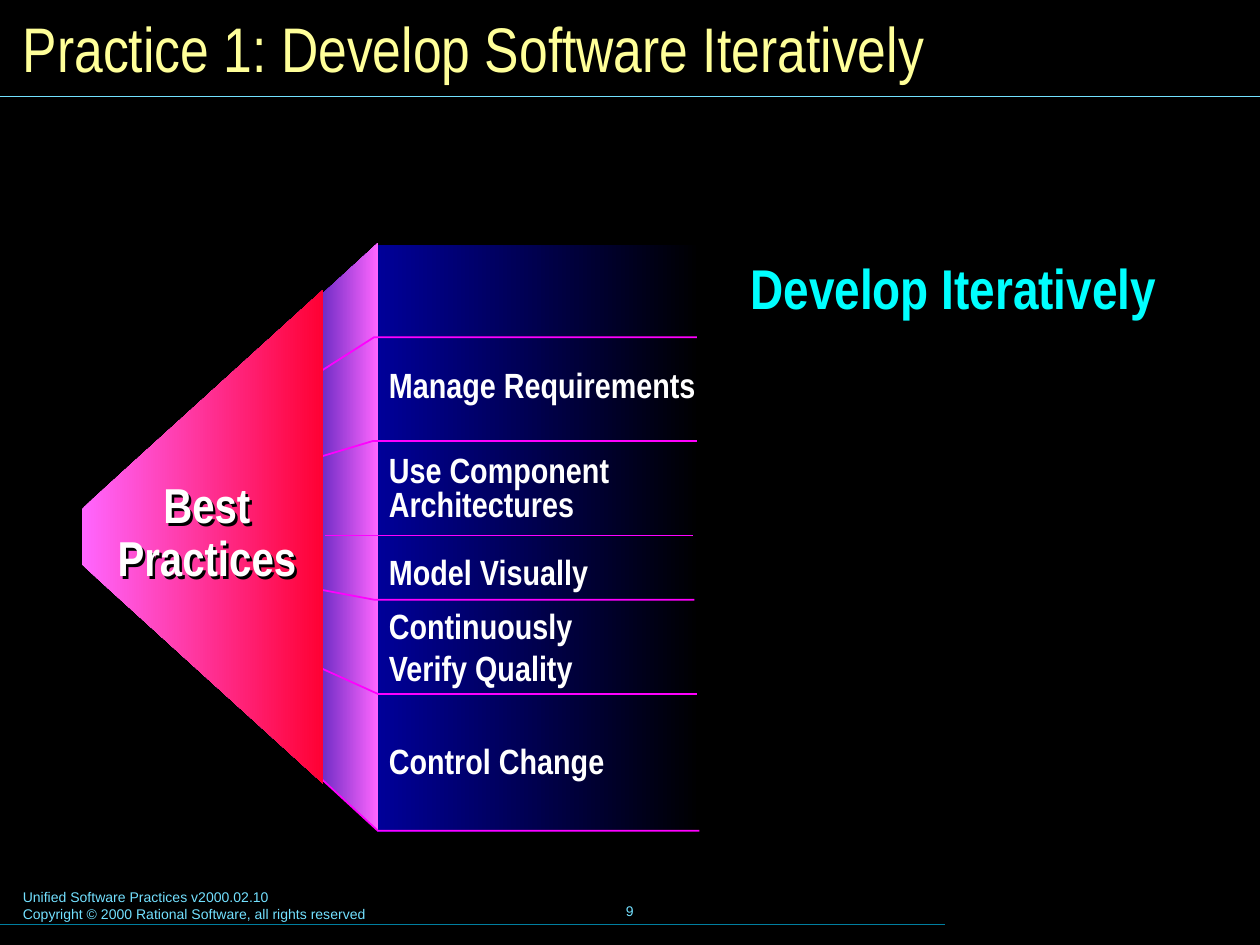
from lxml import etree
from pptx import Presentation
from pptx.dml.color import RGBColor
from pptx.enum.shapes import MSO_CONNECTOR, MSO_SHAPE
from pptx.enum.text import MSO_ANCHOR, PP_ALIGN
from pptx.oxml.ns import qn
from pptx.util import Cm, Pt

LEFT, CENTER = PP_ALIGN.LEFT, PP_ALIGN.CENTER
TOP, MIDDLE = MSO_ANCHOR.TOP, MSO_ANCHOR.MIDDLE
STRAIGHT = MSO_CONNECTOR.STRAIGHT
NARROW = "Arial Narrow"
NAVY, BLACK, PINK, RED = "000099", "000000", "FF66FF", "FF0033"
MAGENTA, SKY, TEAL, WHITE = "FF00FF", "73E1FF", "007E9F", "FFFFFF"

# Content; all lengths in centimetres
TITLE = "Practice 1: Develop Software Iteratively"
HEADLINE = "Develop Iteratively"
FOOTER = ["Unified Software Practices v2000.02.10",
          "Copyright © 2000 Rational Software, all rights reserved"]
PAGE_NUMBER = "9"
HUB = ["Best", "Practices"]

LABEL_LEFT, LABEL_WIDTH = 7.59, 7.11
PRACTICES = [  # lines, top, height, line spacing
    (["Manage Requirements"], 7.37, 0.94, 0.8),
    (["Use Component Architectures"], 9.08, 1.63, 0.8),
    (["Model Visually"], 10.98, 1.12, None),
    (["Continuously", "Verify Quality"], 12.07, 1.96, None),
    (["Control Change"], 14.79, 1.12, None),
]
DIVIDERS = [  # right end, knee, level, left end, left level
    (14.05, 7.54, 6.8, 5.94, 7.82),
    (14.05, 7.52, 8.89, 5.92, 9.37),
    (14.00, 7.54, 12.09, 5.94, 11.79),
    (14.10, 7.62, 16.75, 5.89, 15.16),
    (14.05, 7.62, 13.99, 5.94, 13.23),
]
PANEL = (7.6, 4.93, 6.52, 11.84)
SIDE = [(7.62, 16.74), (7.62, 4.9), (5.64, 6.71), (5.64, 14.94)]
WEDGE = [(6.52, 15.8), (6.52, 5.84), (1.65, 10.26), (1.65, 11.38)]


def color(value):
    return RGBColor.from_string(value)


def add_text(page, lines, area, size, ink, font=NARROW, bold=False, align=LEFT,
             anchor=TOP, spacing=None):
    box = page.shapes.add_textbox(*map(Cm, area))
    frame = box.text_frame
    frame.word_wrap = True
    frame.vertical_anchor = anchor
    for index, line in enumerate(lines):
        para = frame.add_paragraph() if index else frame.paragraphs[0]
        para.alignment = align
        if spacing:
            para.line_spacing = spacing
        span = para.add_run()
        span.text = line
        span.font.size = Pt(size)
        span.font.bold = bold
        span.font.name = font
        span.font.color.rgb = color(ink)
    return box


def add_shadow(box):
    """An unfilled box casts the shadow from its text."""
    effects = etree.SubElement(box._element.spPr, qn("a:effectLst"))
    drop = etree.SubElement(effects, qn("a:outerShdw"), dist="25400", dir="2700000")
    etree.SubElement(drop, qn("a:srgbClr"), val=BLACK)


def add_line(page, left, right, level, ink):
    line = page.shapes.add_connector(STRAIGHT, Cm(left), Cm(level), Cm(right), Cm(level))
    line.line.color.rgb = color(ink)
    line.line.width = Pt(0.75)
    etree.SubElement(line._element.spPr, qn("a:effectLst"))


def add_outline(page, points, close):
    start, *rest = [(Cm(x), Cm(y)) for x, y in points]
    builder = page.shapes.build_freeform(*start)
    builder.add_line_segments(rest, close=close)
    shape = builder.convert_to_shape()
    shape.shadow.inherit = False
    return shape


def shade(shape, left_color, right_color):
    shape.fill.gradient()
    shape.fill.gradient_angle = 0
    for stop, value in zip(shape.fill.gradient_stops, (left_color, right_color)):
        stop.color.rgb = color(value)
    shape.line.fill.background()


def main():
    deck = Presentation()
    deck.slide_width, deck.slide_height = Cm(25.4), Cm(19.05)
    page = deck.slides.add_slide(deck.slide_layouts[6])
    page.background.fill.solid()
    page.background.fill.fore_color.rgb = color(BLACK)

    # Footer, rules and title
    add_text(page, FOOTER, (0.21, 17.79, 12.95, 0.94), 8, SKY, font="Arial")
    add_text(page, [PAGE_NUMBER], (8.67, 17.73, 8.05, 1.27), 8, SKY, font="Arial",
             align=CENTER, anchor=MIDDLE)
    add_line(page, 0, 19.05, 18.63, TEAL)
    add_line(page, 0, 25.4, 1.94, SKY)
    add_text(page, [TITLE], (0.21, 0.22, 25, 1.47), 36, "FFFF99", anchor=MIDDLE)
    add_text(page, [HEADLINE], (14.88, 4.98, 9.5, 1.63), 32, "00FFFF", bold=True)

    # Panel with its slanted side
    panel = page.shapes.add_shape(MSO_SHAPE.RECTANGLE, *map(Cm, PANEL))
    panel.shadow.inherit = False
    shade(panel, NAVY, BLACK)
    shade(add_outline(page, SIDE, True), NAVY, PINK)

    # Dividers between the practices
    for right, knee, level, left, left_level in DIVIDERS:
        bent = add_outline(page, [(right, level), (knee, level), (left, left_level)], False)
        bent.fill.background()
        bent.line.color.rgb = color(MAGENTA)
        bent.line.width = Pt(1)
    add_line(page, 6.55, 13.97, 10.8, MAGENTA)

    # Practice labels
    for lines, top, height, spacing in PRACTICES:
        add_text(page, lines, (LABEL_LEFT, top, LABEL_WIDTH, height), 20, WHITE,
                 bold=True, spacing=spacing)

    # Wedge in front
    shade(add_outline(page, WEDGE, True), PINK, RED)
    hub = add_text(page, HUB, (1.62, 9.58, 5.1, 2.39), 28, WHITE, bold=True,
                   align=CENTER, anchor=MIDDLE, spacing=0.9)
    add_shadow(hub)

    deck.save("out.pptx")


if __name__ == "__main__":
    main()
